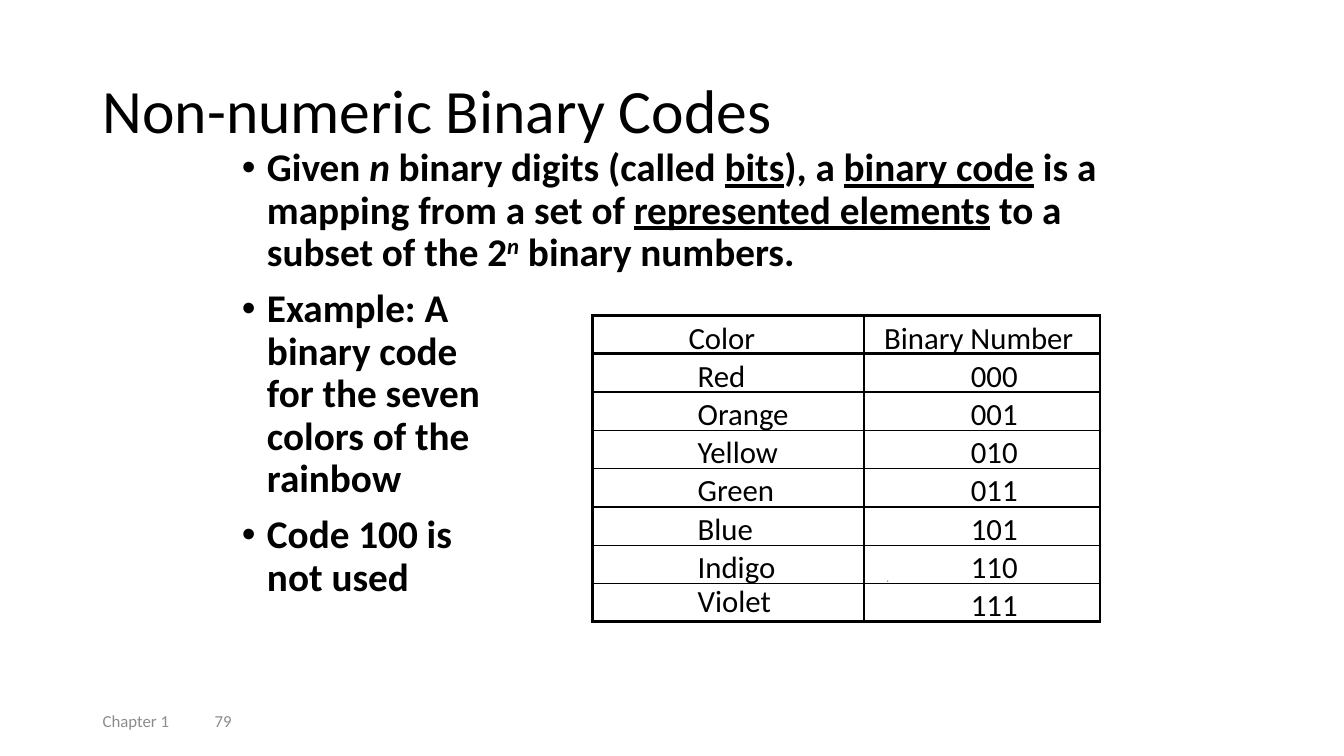
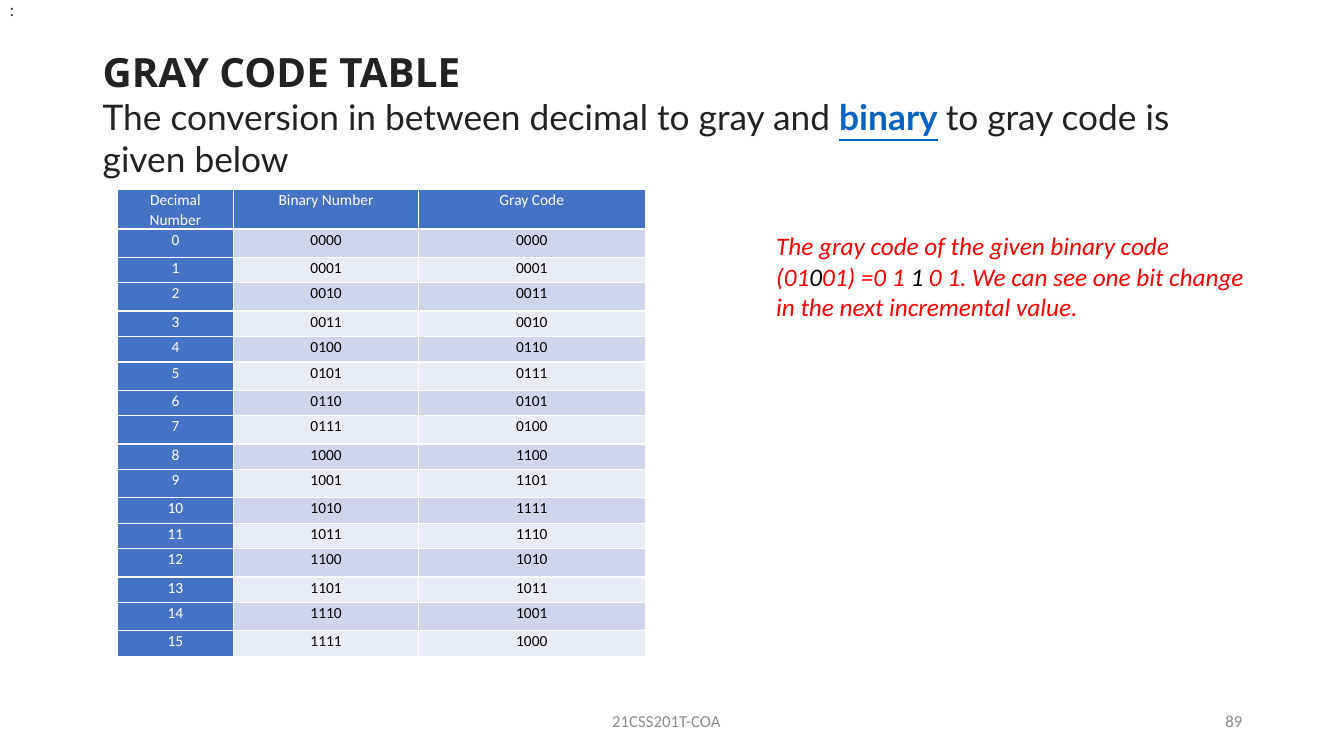
from dataclasses import dataclass

from lxml import etree
from pptx import Presentation
from pptx.dml.color import RGBColor
from pptx.enum.shapes import MSO_SHAPE
from pptx.enum.text import MSO_ANCHOR, PP_ALIGN
from pptx.oxml.ns import qn
from pptx.util import Inches, Pt

LEFT, CENTER, RIGHT = PP_ALIGN.LEFT, PP_ALIGN.CENTER, PP_ALIGN.RIGHT
TOP, MIDDLE = MSO_ANCHOR.TOP, MSO_ANCHOR.MIDDLE
RECTANGLE = MSO_SHAPE.RECTANGLE


@dataclass(frozen=True)
class Theme:
    font: str = "Calibri"
    lead_font: str = "Lato"
    heading_font: str = "Noto Sans"
    bullet_font: str = "Arial"
    black: str = "000000"
    white: str = "FFFFFF"
    dark: str = "222222"
    gray: str = "8C8C8C"
    red: str = "FF0000"
    link: str = "0563C1"
    blue: str = "4472C4"
    bands: tuple = ("CFD5EA", "E9EBF5")
    title: float = 44
    heading: float = 28.8
    lead: float = 25.2
    body: float = 28
    code: float = 22
    note: float = 18
    footer: float = 12
    grid: float = 11
    thin: float = 1
    thick: float = 2.25


THEME = Theme()
TITLE_BOX = (0.92, 0.4, 11.5, 1.45)
FOOTER_TOP, FOOTER_HEIGHT = 6.95, 0.4


def add_text(slide, box, paragraphs, size, color=THEME.black, font=THEME.font, bold=False,
             italic=False, align=LEFT, anchor=MIDDLE, spacing=1.0, bullet=False, inset=True):
    """Each paragraph is a list of (text, run options); a newline is a line break."""
    frame = slide.shapes.add_textbox(*map(Inches, box)).text_frame
    frame.word_wrap = True
    frame.vertical_anchor = anchor
    if not inset:
        frame.margin_left = frame.margin_right = frame.margin_top = frame.margin_bottom = 0
    for index, runs in enumerate(paragraphs):
        paragraph = frame.add_paragraph() if index else frame.paragraphs[0]
        paragraph.alignment, paragraph.line_spacing = align, spacing
        paragraph.font.name, paragraph.font.size = font, Pt(size)
        paragraph.font.bold, paragraph.font.italic = bold, italic
        paragraph.font.color.rgb = RGBColor.from_string(color)
        if bullet:
            paragraph.space_before = Pt(10)
            properties = paragraph._p.get_or_add_pPr()
            properties.set("marL", str(Inches(0.25)))
            properties.set("indent", str(-Inches(0.25)))
            defaults = properties.find(qn("a:defRPr"))
            defaults.addprevious(etree.Element(qn("a:buFont"), typeface=THEME.bullet_font))
            defaults.addprevious(etree.Element(qn("a:buChar"), char="•"))
        for text, options in runs:
            for line_index, line in enumerate(text.split("\n")):
                if line_index:
                    paragraph.add_line_break()
                if not line:
                    continue
                run = paragraph.add_run()
                run.text = line
                for name, value in options.items():
                    if name == "color":
                        run.font.color.rgb = RGBColor.from_string(value)
                    elif name == "baseline":
                        run._r.get_or_add_rPr().set("baseline", value)
                    else:
                        setattr(run.font, name, value)


def style_cell(cell, size, color, fill, line_color, widths):
    """Widths are the left, right, top and bottom borders."""
    cell.margin_left = cell.margin_right = Inches(0.07)
    cell.margin_top = cell.margin_bottom = 0
    paragraph = cell.text_frame.paragraphs[0]
    paragraph.alignment = CENTER
    paragraph.font.name, paragraph.font.size = THEME.font, Pt(size)
    paragraph.font.bold = False
    paragraph.font.color.rgb = RGBColor.from_string(color)
    if fill:
        cell.fill.solid()
        cell.fill.fore_color.rgb = RGBColor.from_string(fill)
    else:
        cell.fill.background()
    properties = cell._tc.get_or_add_tcPr()
    for index, (side, width) in enumerate(zip("LRTB", widths)):
        border = etree.Element(qn(f"a:ln{side}"), w=str(Pt(width)))
        paint = etree.SubElement(border, qn("a:solidFill"))
        etree.SubElement(paint, qn("a:srgbClr"), val=line_color)
        properties.insert(index, border)


presentation = Presentation()
presentation.slide_width, presentation.slide_height = Inches(13.33), Inches(7.5)
blank = presentation.slide_layouts[6]
codes_slide = presentation.slides.add_slide(blank)
gray_slide = presentation.slides.add_slide(blank)

# Footers
for slide, text, left, width, align in [
    (codes_slide, "Chapter 1", 0.92, 1.1, LEFT),
    (codes_slide, "79", 2.03, 0.6, LEFT),
    (gray_slide, "21CSS201T-COA", 4.36, 4.5, CENTER),
    (gray_slide, "89", 9.42, 3, RIGHT),
]:
    add_text(slide, (left, FOOTER_TOP, width, FOOTER_HEIGHT), [[(text, {})]],
             THEME.footer, THEME.gray, align=align)

# Non-numeric codes: title and bullets
add_text(codes_slide, TITLE_BOX, [[("Non-numeric Binary Codes", {})]], THEME.title, spacing=0.9)
underlined = {"underline": True}
bullets = [
    [("Given ", {}), ("n", {"italic": True}), (" binary digits (called ", {}),
     ("bits", underlined), ("), a ", {}), ("binary code", underlined),
     (" is a mapping from a set of ", {}), ("represented elements", underlined),
     (" to a subset of the 2", {}), ("n", {"italic": True, "baseline": "30000"}),
     (" binary numbers.", {})],
    [("Example: A\nbinary code\nfor the seven\ncolors of the\nrainbow", {})],
    [("Code 100 is\nnot used", {})],
]
add_text(codes_slide, (2.3, 1.42, 8.86, 5.33), bullets, THEME.body, bold=True,
         anchor=TOP, spacing=0.9, bullet=True)

# Non-numeric codes: ruled table with its labels placed over the cells
color_rows = [
    ("Color", "Binary Number"), ("Red", "000"), ("Orange", "001"), ("Yellow", "010"),
    ("Green", "011"), ("Blue", "101"), ("Indigo", "110"), ("Violet", "111"),
]
color_widths = (2.69, 2.34)
color_table = codes_slide.shapes.add_table(
    len(color_rows), 2, Inches(5.88), Inches(3.13),
    Inches(sum(color_widths)), Inches(0.38 * len(color_rows))).table
color_table.first_row = color_table.horz_banding = False
for column, width in zip(color_table.columns, color_widths):
    column.width = Inches(width)
last_row = len(color_rows) - 1
label_step = 2.65 / last_row
for row_index, row in enumerate(color_rows):
    lefts = (6.92, 9.63) if row_index else (6.83, 8.77)
    for column_index, text in enumerate(row):
        thick_sides = (column_index == 0, column_index == 1,
                       row_index <= 1, row_index in (0, last_row))
        borders = [THEME.thick if thick else THEME.thin for thick in thick_sides]
        style_cell(color_table.cell(row_index, column_index), THEME.code, THEME.black,
                   None, THEME.black, borders)
        top = 3.16 + row_index * label_step - (0.04 if text == "Violet" else 0)
        width = 1 if row_index else 2
        add_text(codes_slide, (lefts[column_index], top, width, 0.37), [[(text, {})]],
                 THEME.code, anchor=TOP, inset=False)

# Non-numeric codes: small dot
dot = codes_slide.shapes.add_shape(RECTANGLE, Inches(8.8), Inches(5.76),
                                   Inches(0.01), Inches(0.01))
dot.shadow.inherit = False
dot.fill.solid()
dot.fill.fore_color.rgb = RGBColor.from_string(THEME.black)
dot.line.fill.background()

# Gray code: title, corner mark and note
gray_title = [
    ("GRAY CODE TABLE\n",
     {"name": THEME.heading_font, "size": Pt(THEME.heading), "bold": True}),
    ("The conversion in between decimal to gray and ", {}),
    ("binary", {"color": THEME.link, "bold": True, "underline": True}),
    (" ", {"name": THEME.font}),
    ("to gray code is given below", {}),
]
add_text(gray_slide, TITLE_BOX, [gray_title], THEME.lead, THEME.dark, THEME.lead_font)
add_text(gray_slide, (0, 0, 0.24, 0.2), [[(":", {})]], THEME.footer, THEME.dark, THEME.lead_font)
marked = {"color": THEME.black}
note = [
    [("The gray code of the given binary code", {})],
    [("(01", {}), ("0", marked), ("01) =0 1 ", {}), ("1", marked),
     (" 0 1. We can see one bit change in the next incremental value.", {})],
]
add_text(gray_slide, (7.6, 2.24, 4.84, 1.01), note, THEME.note, THEME.red,
         italic=True, anchor=TOP)

# Gray code: conversion table, each code computed from its number
gray_rows = [("Decimal Number", "Binary Number", "Gray Code")]
gray_rows += [(str(n), f"{n:04b}", f"{n ^ n >> 1:04b}") for n in range(16)]
gray_widths = (1.16, 1.83, 2.25)
header_height, body_height, tall_height = 0.39, 4.24, 0.28
tall_rows = (1, 3, 6, 8, 10, 13, 15)
short_height = (body_height - tall_height * len(tall_rows)) / (16 - len(tall_rows))
gray_table = gray_slide.shapes.add_table(
    len(gray_rows), 3, Inches(1.16), Inches(1.88),
    Inches(sum(gray_widths)), Inches(header_height + body_height)).table
for column, width in zip(gray_table.columns, gray_widths):
    column.width = Inches(width)
for row_index, row in enumerate(gray_rows):
    height = tall_height if row_index in tall_rows else short_height
    gray_table.rows[row_index].height = Inches(height if row_index else header_height)
    for column_index, text in enumerate(row):
        is_heading = row_index == 0 or column_index == 0
        cell = gray_table.cell(row_index, column_index)
        cell.text = text
        style_cell(cell, THEME.grid, THEME.white if is_heading else THEME.black,
                   THEME.blue if is_heading else THEME.bands[(row_index - 1) % 2],
                   THEME.white, [THEME.thin] * 4)
        cell.text_frame.paragraphs[0].line_spacing = 1.07

presentation.save("out.pptx")
